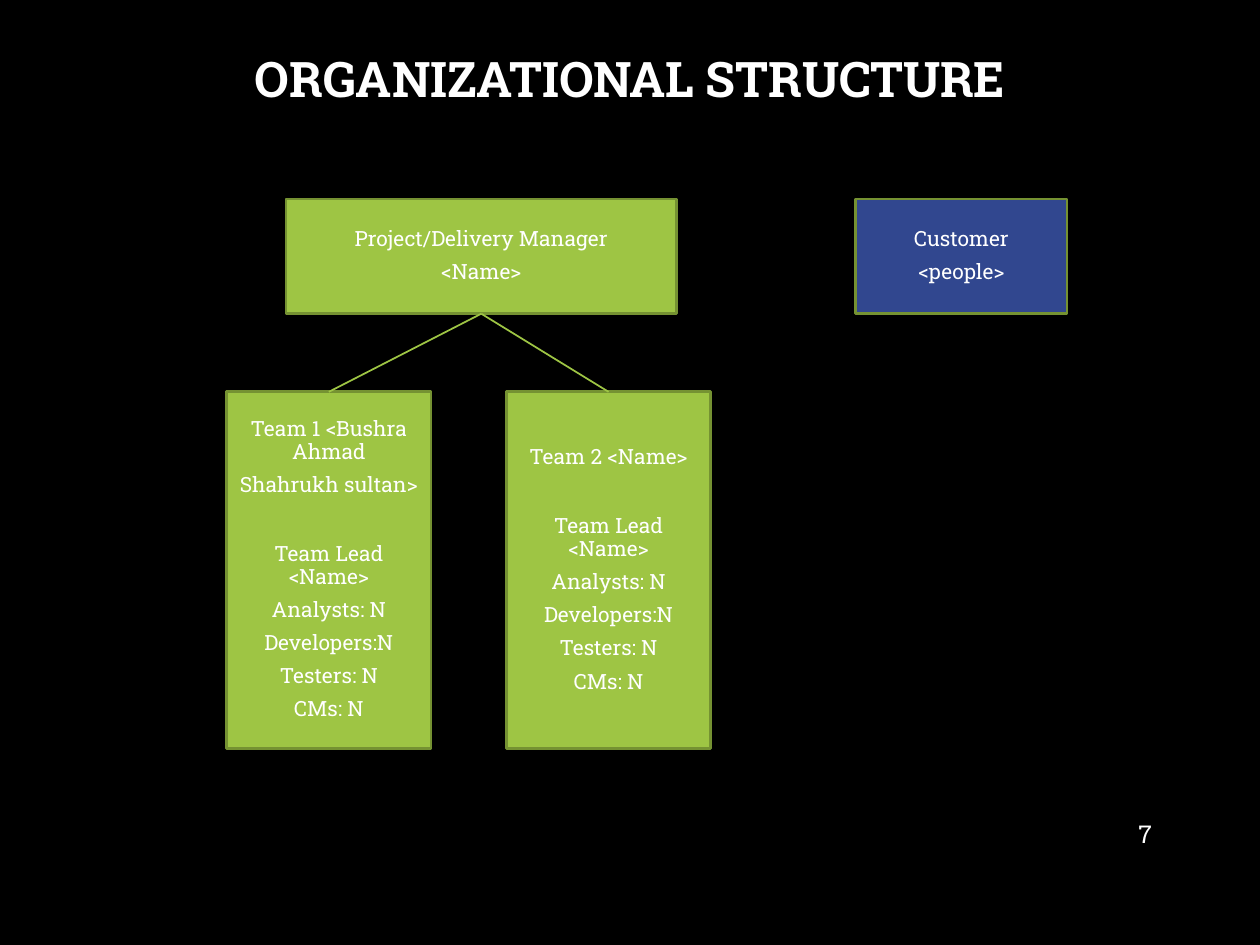
from dataclasses import dataclass

from pptx import Presentation
from pptx.dml.color import RGBColor
from pptx.enum.shapes import MSO_CONNECTOR, MSO_SHAPE
from pptx.enum.text import MSO_ANCHOR, PP_ALIGN
from pptx.oxml.ns import qn
from pptx.shapes.autoshape import Shape
from pptx.slide import Slide
from pptx.util import Inches, Pt
from lxml.etree import SubElement

FONT = "Roboto Slab"
BLACK = RGBColor(0x00, 0x00, 0x00)
WHITE = RGBColor(0xFF, 0xFF, 0xFF)
GREEN = RGBColor(0x9E, 0xC5, 0x44)
DARK_GREEN = RGBColor(0x75, 0x92, 0x32)
BLUE = RGBColor(0x31, 0x47, 0x8F)

TOP_ROW, TOP_HEIGHT = 1.58, 0.91
TEAM_ROW, TEAM_WIDTH, TEAM_HEIGHT = 3.11, 1.62, 2.83
PARAGRAPH_GAP, SECTION_GAP = Pt(6), Pt(26.4)
BOTTOM, TOP = 2, 0
LEAD = "Team Lead <Name>"
ROLES = [LEAD, "Analysts: N", "Developers:N", "Testers: N", "CMs: N"]


@dataclass(frozen=True)
class Unit:
    left: float
    top: float
    width: float
    height: float
    lines: list[str]
    fill: RGBColor = GREEN


def write(shape: Shape, lines: list[str], size: float, align: PP_ALIGN,
          bold: bool = False) -> None:
    frame = shape.text_frame
    frame.word_wrap = True
    frame.vertical_anchor = MSO_ANCHOR.MIDDLE
    frame.text = "\n".join(lines)
    for paragraph in frame.paragraphs:
        paragraph.alignment = align
        paragraph.line_spacing = 0.9
        font = paragraph.font
        font.name, font.size, font.bold = FONT, Pt(size), bold
        font.color.rgb = WHITE


def add_label(slide: Slide, left: float, top: float, width: float, height: float,
              text: str, size: float, align: PP_ALIGN, bold: bool = False) -> None:
    label = slide.shapes.add_textbox(
        Inches(left), Inches(top), Inches(width), Inches(height))
    write(label, [text], size, align, bold)


def add_unit(slide: Slide, unit: Unit) -> Shape:
    box = slide.shapes.add_shape(
        MSO_SHAPE.RECTANGLE, Inches(unit.left), Inches(unit.top),
        Inches(unit.width), Inches(unit.height))
    box.shadow.inherit = False
    box.fill.solid()
    box.fill.fore_color.rgb = unit.fill
    box.line.color.rgb = DARK_GREEN
    box.line.width = Pt(1.5)
    write(box, unit.lines, 12, PP_ALIGN.CENTER)
    frame = box.text_frame
    frame.margin_left = frame.margin_right = Inches(0.09)
    frame.margin_top = frame.margin_bottom = Inches(0.04)
    for paragraph in frame.paragraphs:
        paragraph.space_before = SECTION_GAP if paragraph.text == LEAD else PARAGRAPH_GAP
    return box


def link(slide: Slide, parent: Shape, child: Shape) -> None:
    line = slide.shapes.add_connector(MSO_CONNECTOR.STRAIGHT, 0, 0, 0, 0)
    line.begin_connect(parent, BOTTOM)
    line.end_connect(child, TOP)
    line.line.color.rgb = GREEN
    line.line.width = Pt(1)
    SubElement(line.element.spPr, qn("a:effectLst"))


def main() -> None:
    deck = Presentation()
    deck.slide_width, deck.slide_height = Inches(10), Inches(7.5)
    slide = deck.slides.add_slide(deck.slide_layouts[6])
    slide.background.fill.solid()
    slide.background.fill.fore_color.rgb = BLACK

    add_label(slide, 0.5, 0.3, 9, 0.7, "ORGANIZATIONAL STRUCTURE", 28,
              PP_ALIGN.CENTER, bold=True)
    add_label(slide, 8.62, 6.43, 0.62, 0.4, "7", 14, PP_ALIGN.RIGHT)

    manager = add_unit(slide, Unit(2.27, TOP_ROW, 3.1, TOP_HEIGHT,
                                   ["Project/Delivery Manager", "<Name>"]))
    teams = [
        (1.8, ["Team 1 <Bushra Ahmad", "Shahrukh sultan>"]),
        (4.02, ["Team 2 <Name>"]),
    ]
    for left, heading in teams:
        team = add_unit(slide, Unit(left, TEAM_ROW, TEAM_WIDTH, TEAM_HEIGHT,
                                    heading + ROLES))
        link(slide, manager, team)
    add_unit(slide, Unit(6.79, TOP_ROW, 1.68, TOP_HEIGHT,
                         ["Customer", "<people>"], BLUE))

    deck.save("out.pptx")


if __name__ == "__main__":
    main()
